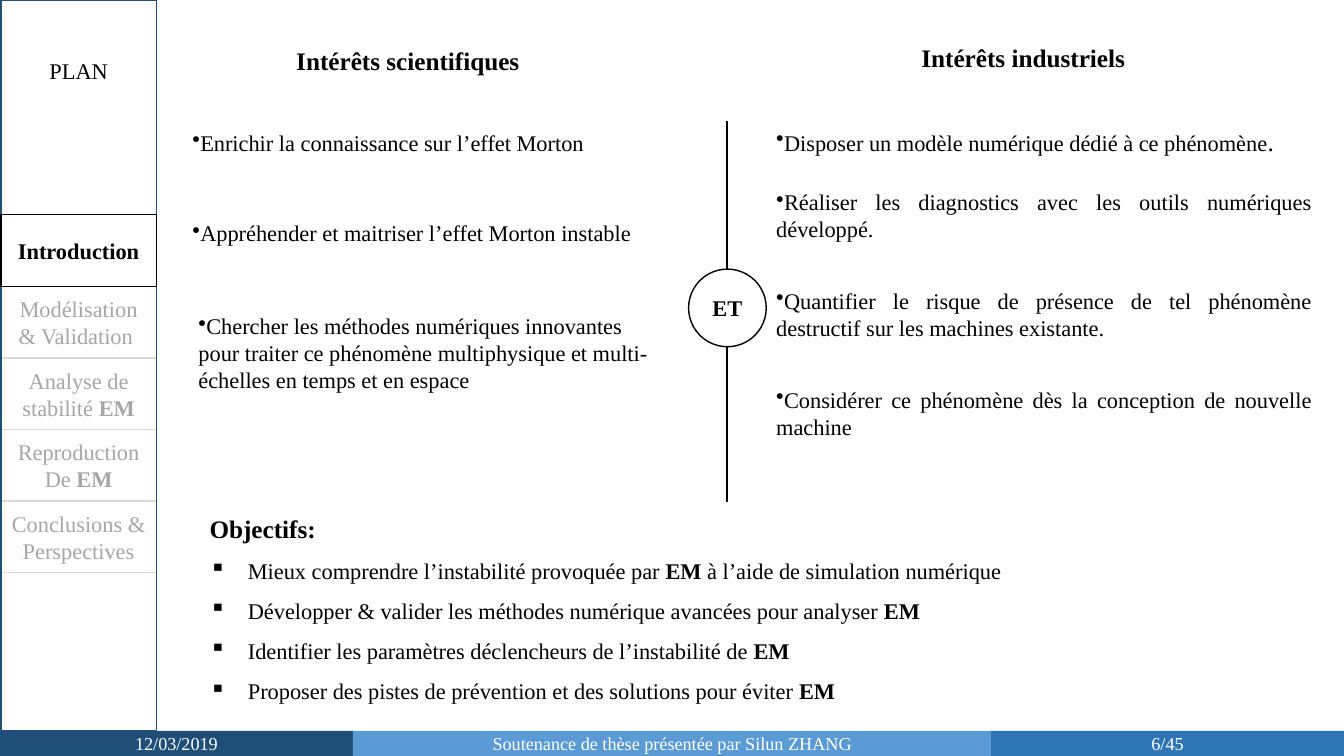
"""Build the slide on scientific and industrial interests and objectives."""
import lxml.etree
import pptx
import pptx.dml.color
import pptx.enum.shapes
import pptx.enum.text
import pptx.oxml.ns
import pptx.util

PX = 9144
FONT = "Times New Roman"
BLACK, WHITE = "000000", "FFFFFF"
GREY, PALE = "A6A6A6", "D9D9D9"
NAVY, BLUE, SKY = "1F4E79", "2E75B6", "5B9BD5"
ALIGN = pptx.enum.text.PP_ALIGN
SHAPE = pptx.enum.shapes.MSO_SHAPE

SECTIONS = [
    "Modélisation & Validation ",
    "Analyse de stabilité *EM*",
    "Reproduction\nDe *EM*",
    "Conclusions & Perspectives",
]
SCIENTIFIC = [
    (0, 0, 516, 37, ALIGN.JUSTIFY, "Enrichir la connaissance sur l’effet Morton"),
    (0, 90, 486, 37, ALIGN.JUSTIFY, "Appréhender et maitriser l’effet Morton instable"),
    (6, 182, 477, 118, ALIGN.LEFT,
     "Chercher les méthodes numériques innovantes pour traiter ce phénomène "
     "multiphysique et multi-échelles en temps et en espace"),
]
INDUSTRIAL = [
    (0, 0, 551, 40, ALIGN.JUSTIFY, "Disposer un modèle numérique dédié à ce phénomène|. "),
    (0, 62, 551, 64, ALIGN.JUSTIFY,
     "Réaliser les diagnostics avec les outils numériques développé."),
    (0, 160, 551, 64, ALIGN.JUSTIFY,
     "Quantifier le risque de présence de tel phénomène destructif sur les machines existante."),
    (0, 258, 551, 64, ALIGN.JUSTIFY,
     "Considérer ce phénomène dès la conception de nouvelle machine"),
]
OBJECTIVES = [
    "Mieux comprendre l’instabilité provoquée par *EM *à l’aide de simulation numérique",
    "Développer & valider les méthodes numérique avancées pour analyser *EM*",
    "Identifier les paramètres déclencheurs de l’instabilité de *EM*",
    "Proposer des pistes de prévention et des solutions pour éviter *EM*",
]


def px(*lengths):
    """Turn lengths in px into EMU."""
    return [length * PX for length in lengths]


def rgb(value):
    """Turn a hex string into a colour."""
    return pptx.dml.color.RGBColor.from_string(value)


def write(paragraph, text, size=16, color=BLACK, align=ALIGN.CENTER):
    """Write text whose parts between asterisks are bold and after a bar larger."""
    paragraph.alignment = align
    for index, part in enumerate(text.split("*")):
        for step, piece in enumerate(part.split("|")):
            if piece:
                run = paragraph.add_run()
                run.text = piece
                run.font.name = FONT
                run.font.size = pptx.util.Pt(size + 2 * step)
                run.font.bold = index % 2 == 1
                run.font.color.rgb = rgb(color)


def add_bullet(paragraph, character, margin, indent):
    """Give a paragraph a bullet with its margin and indent in px."""
    properties = paragraph._p.get_or_add_pPr()
    properties.set("marL", str(margin * PX))
    properties.set("indent", str(indent * PX))
    bullet = lxml.etree.SubElement(properties, pptx.oxml.ns.qn("a:buChar"))
    bullet.set("char", character)


def add_text(slide, box):
    """Add a wrapping text box and return its text frame."""
    frame = slide.shapes.add_textbox(*px(*box)).text_frame
    frame.word_wrap = True
    return frame


def add_panel(slide, box, text="", fill=None, line=None, color=BLACK, size=16,
              kind=SHAPE.RECTANGLE):
    """Add a shape with centred text."""
    shape = slide.shapes.add_shape(kind, *px(*box))
    shape.shadow.inherit = False
    if fill:
        shape.fill.solid()
        shape.fill.fore_color.rgb = rgb(fill)
    else:
        shape.fill.background()
    if line:
        shape.line.color.rgb = rgb(line)
        shape.line.width = pptx.util.Pt(1)
    else:
        shape.line.fill.background()
    frame = shape.text_frame
    frame.margin_top = frame.margin_bottom = 0
    frame.vertical_anchor = pptx.enum.text.MSO_ANCHOR.MIDDLE
    for index, row in enumerate(text.split("\n") if text else []):
        paragraph = frame.add_paragraph() if index else frame.paragraphs[0]
        write(paragraph, row, size, color)


def add_plan(slide, left, top, width, height):
    """Draw the plan column with its current section in front."""
    write(add_text(slide, (left + 8, top + 52, 138, 37)).paragraphs[0], "PLAN")
    first, pitch = top + 213, 71
    for index, section in enumerate(SECTIONS, 1):
        add_panel(slide, (left, first + index * pitch, width, pitch), section,
                  line=PALE, color=GREY)
    add_panel(slide, (left, top, width, height), line=NAVY)
    add_panel(slide, (left, first, width, pitch), "*Introduction*", line=BLACK)


def add_footer(slide, left, top, height):
    """Draw the footer bands side by side."""
    bands = [
        (350, NAVY, "12/03/2019"),
        (633, SKY, "Soutenance de thèse présentée par Silun ZHANG"),
        (350, BLUE, "6/45"),
    ]
    for width, fill, text in bands:
        add_panel(slide, (left, top, width, height), text, fill, color=WHITE, size=13)
        left += width


def add_interests(slide, left, top, heading_box, heading, points):
    """Place a heading and the bulleted points of one column."""
    write(add_text(slide, heading_box).paragraphs[0], f"*{heading}*", 18, align=ALIGN.LEFT)
    for dx, dy, width, height, align, text in points:
        paragraph = add_text(slide, (left + dx, top + dy, width, height)).paragraphs[0]
        add_bullet(paragraph, "•", 0, -31)
        write(paragraph, text, align=align)


def add_divider(slide, center, top, height, diameter):
    """Draw the vertical divider and its round label."""
    line = slide.shapes.add_connector(
        pptx.enum.shapes.MSO_CONNECTOR.STRAIGHT, *px(center, top, center, top + height))
    line.line.color.rgb = rgb(BLACK)
    line.line.width = pptx.util.Pt(1.5)
    lxml.etree.SubElement(line._element.spPr, pptx.oxml.ns.qn("a:effectLst"))
    label_top = top + (height - diameter) // 2 - 3
    add_panel(slide, (center - diameter // 2, label_top, diameter, diameter), "*ET*",
              WHITE, BLACK, kind=SHAPE.OVAL)


def add_objectives(slide, *box):
    """Write the objectives under their heading."""
    frame = add_text(slide, box)
    write(frame.paragraphs[0], "*Objectifs: *", 18, align=ALIGN.LEFT)
    for objective in OBJECTIVES:
        paragraph = frame.add_paragraph()
        add_bullet(paragraph, "▪", 38, -38)
        paragraph.line_spacing = 1.5
        write(paragraph, objective, align=ALIGN.LEFT)


def main():
    """Build and save the presentation."""
    presentation = pptx.Presentation()
    presentation.slide_width, presentation.slide_height = px(1333, 750)
    slide = presentation.slides.add_slide(presentation.slide_layouts[6])
    add_plan(slide, 1, 0, 154, 725)
    add_footer(slide, 0, 725, 25)
    add_divider(slide, 721, 120, 378, 77)
    add_interests(slide, 181, 123, (284, 40, 250, 40), "Intérêts scientifiques", SCIENTIFIC)
    add_interests(slide, 760, 120, (904, 37, 243, 40), "Intérêts industriels", INDUSTRIAL)
    add_objectives(slide, 198, 504, 888, 209)
    presentation.save("out.pptx")


if __name__ == "__main__":
    main()
